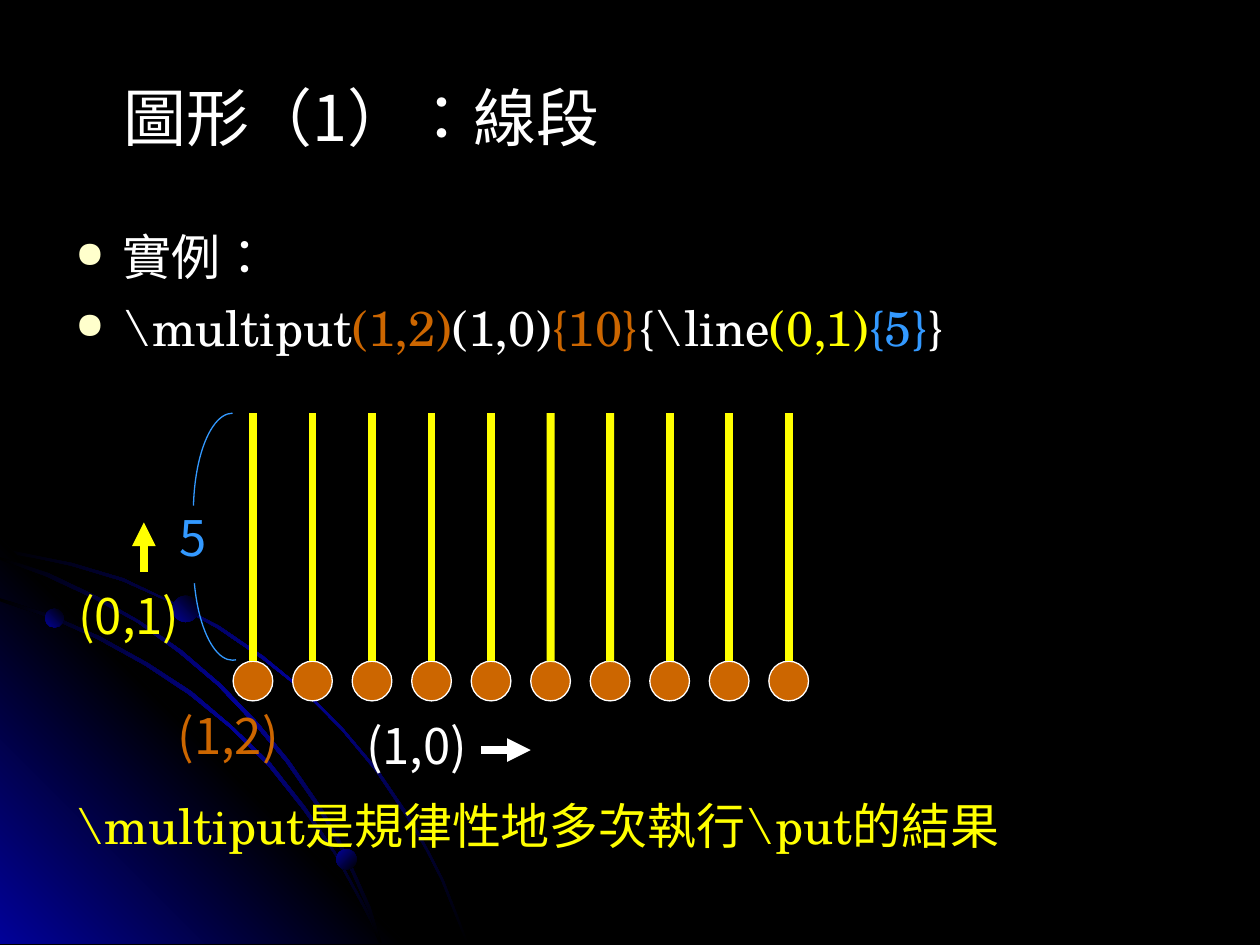
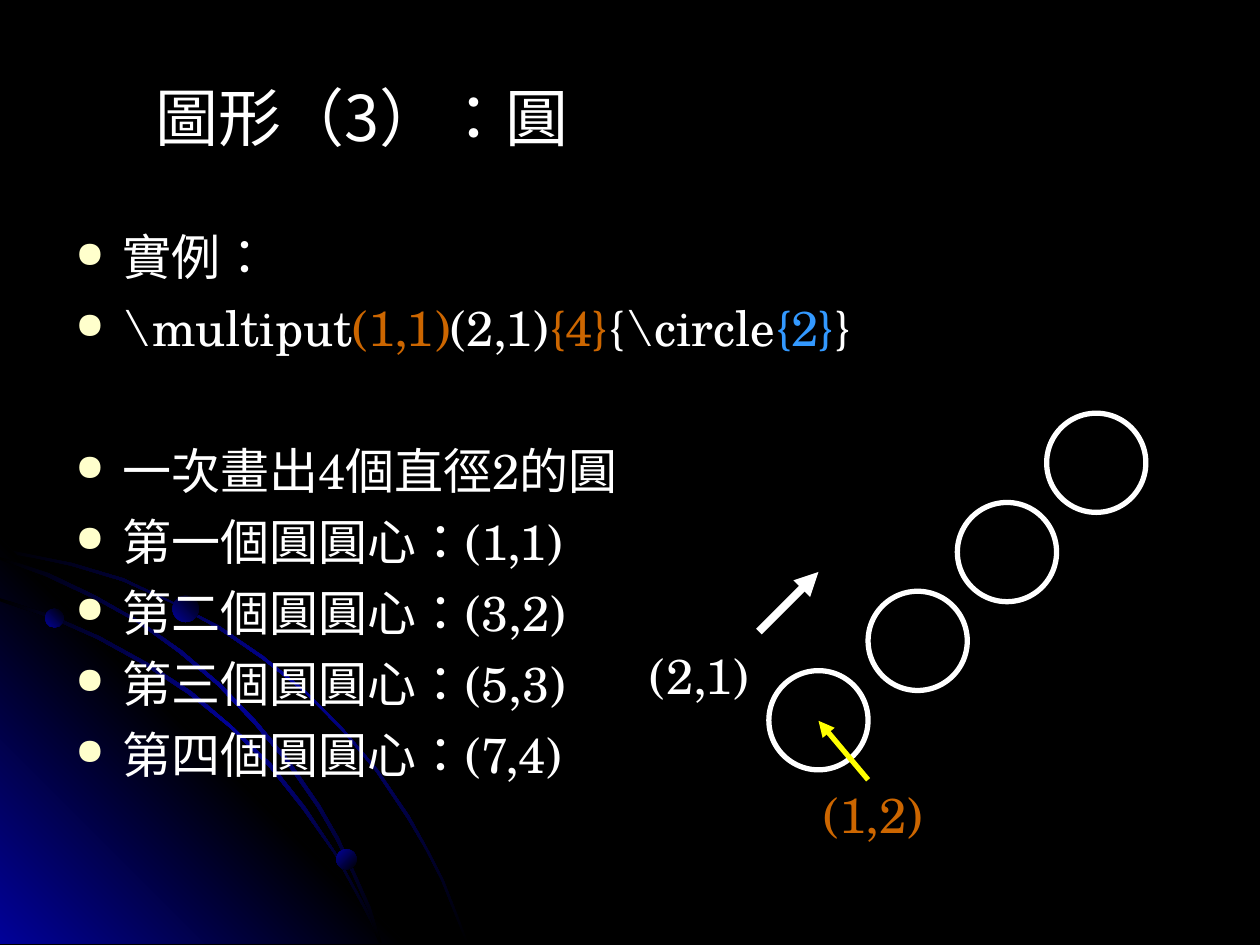
from dataclasses import dataclass

from lxml import etree
from pptx import Presentation
from pptx import util as u
from pptx.dml.color import RGBColor
from pptx.enum import shapes, text
from pptx.oxml import ns

BLACK, WHITE, NAVY = "000000", "FFFFFF", "010199"
ORANGE, YELLOW, BLUE, CREAM = "CC6600", "FFFF00", "3399FF", "FFFFCC"
SANS, SERIF = "Noto Sans CJK SC", "TeX Gyre Schola"
LINE_PITCH = 40.6
PARA_GAP = 7
GLOW = (BLACK, NAVY, BLACK)


@dataclass
class Run:
    text: str
    color: str = WHITE


@dataclass
class Para:
    runs: list[Run]
    bullet: bool = True
    skipped_lines: int = 0


@dataclass
class Label:
    text: str
    x: float
    y: float
    w: float
    color: str
    font: str


@dataclass
class Arrow:
    start: tuple[float, float]
    end: tuple[float, float]
    color: str
    width: float


@dataclass
class Arc:
    x: float
    y: float
    start: float
    end: float


@dataclass
class Sweep:
    points: list[tuple[int, int]]
    stops: tuple[str, ...] = GLOW
    angle: int = 225


@dataclass
class Orb:
    x: float
    y: float
    size: float
    angle: int


SWEEPS = [
    Sweep([(145, 1135), (71, 1120), (0, 1105), (0, 1113), (71, 1125), (142, 1140),
           (246, 1171), (343, 1214), (439, 1267), (528, 1328), (612, 1394),
           (688, 1471), (757, 1554), (820, 1648), (856, 1709), (889, 1773),
           (914, 1836), (940, 1902), (945, 1902), (919, 1836), (894, 1773),
           (861, 1709), (826, 1646), (762, 1552), (691, 1468), (615, 1392),
           (531, 1323), (442, 1262), (345, 1212), (249, 1166)]),
    Sweep([(818, 1903), (0, 1903), (0, 1085)], (NAVY, BLACK, NAVY), 135),
    Sweep([(724, 1814), (747, 1859), (765, 1902), (770, 1902), (752, 1854),
           (726, 1808), (676, 1717), (615, 1626), (546, 1539), (467, 1463),
           (386, 1394), (297, 1336), (201, 1283), (104, 1240), (0, 1206),
           (0, 1212), (99, 1245), (196, 1288), (292, 1341), (381, 1400),
           (465, 1468), (541, 1544), (610, 1631), (673, 1720)]),
    Sweep([(0, 1123), (0, 1128), (91, 1161), (188, 1206), (277, 1255),
           (361, 1316), (439, 1382), (513, 1460), (577, 1537), (640, 1628),
           (678, 1694), (711, 1763), (742, 1834), (765, 1902), (770, 1902),
           (747, 1829), (716, 1760), (683, 1689), (645, 1623), (582, 1532),
           (518, 1455), (445, 1379), (366, 1311), (282, 1252), (193, 1201),
           (99, 1156)]),
]
ORBS = [Orb(0.91, 12.27, 0.38, 135), Orb(6.78, 17.12, 0.41, 225), Orb(3.48, 12.01, 0.53, 135)]


def rgb(color: str) -> RGBColor:
    return RGBColor.from_string(color)


def cm(*lengths: float) -> list[u.Length]:
    return [u.Cm(length) for length in lengths]


def set_gradient(sp, stops: tuple[str, ...], angle: int) -> None:
    sp.shadow.inherit = False
    sp.line.fill.background()
    sp.fill.gradient()
    grad = sp._element.spPr.find(ns.qn("a:gradFill"))
    for child in list(grad):
        grad.remove(child)
    gs_list = etree.SubElement(grad, ns.qn("a:gsLst"))
    for i, color in enumerate(stops):
        gs = etree.SubElement(gs_list, ns.qn("a:gs"), pos=str(100000 * i // (len(stops) - 1)))
        etree.SubElement(gs, ns.qn("a:srgbClr"), val=color)
    etree.SubElement(grad, ns.qn("a:lin"), ang=str(angle * 60000), scaled="0")


def add_backdrop(s) -> None:
    for sweep in SWEEPS:
        fb = s.shapes.build_freeform(*sweep.points[0], scale=u.Cm(0.01))
        fb.add_line_segments(sweep.points[1:], close=True)
        set_gradient(fb.convert_to_shape(), sweep.stops, sweep.angle)
    for orb in ORBS:
        sp = s.shapes.add_shape(shapes.MSO_SHAPE.OVAL, *cm(orb.x, orb.y, orb.size, orb.size))
        set_gradient(sp, (BLACK, NAVY), orb.angle)


def add_run(p, run: Run, font: str, size: float = 28) -> None:
    r = p.add_run()
    r.text = run.text
    r.font.size = u.Pt(size)
    r.font.color.rgb = rgb(run.color)
    r.font.name = font
    rPr = r._r.get_or_add_rPr()
    rPr.set("lang", "zh-TW")
    etree.SubElement(rPr, ns.qn("a:ea"), typeface=font)


def center_text(sp, run: Run, font: str, size: float = 28) -> None:
    tf = sp.text_frame
    tf.word_wrap = True
    tf.auto_size = text.MSO_AUTO_SIZE.NONE
    tf.vertical_anchor = text.MSO_ANCHOR.MIDDLE
    p = tf.paragraphs[0]
    p.alignment = text.PP_ALIGN.CENTER
    add_run(p, run, font, size)


def add_slide(prs, title: str):
    s = prs.slides.add_slide(prs.slide_layouts[5])
    add_backdrop(s)
    sp = s.shapes.title
    sp.left, sp.top, sp.width, sp.height = cm(1.27, 0.76, 12.04, 3.18)
    center_text(sp, Run(title), SANS, 36)
    return s


def set_bullet(p, shown: bool) -> None:
    pPr = p._p.get_or_add_pPr()
    pPr.set("marL", str(u.Cm(0.95)))
    pPr.set("indent", str(-u.Cm(0.95)))
    if shown:
        color = etree.SubElement(pPr, ns.qn("a:buClr"))
        etree.SubElement(color, ns.qn("a:srgbClr"), val=CREAM)
        etree.SubElement(pPr, ns.qn("a:buSzPct"), val="75000")
        etree.SubElement(pPr, ns.qn("a:buChar"), char="●")
    else:
        etree.SubElement(pPr, ns.qn("a:buNone"))


def add_body(s, paras: list[Para]) -> None:
    tf = s.shapes.add_textbox(*cm(1.27, 4.45, 22.86, 13.28)).text_frame
    tf.word_wrap = True
    for i, para in enumerate(paras):
        p = tf.add_paragraph() if i else tf.paragraphs[0]
        set_bullet(p, para.bullet)
        if i:
            p.space_before = u.Pt(PARA_GAP + para.skipped_lines * LINE_PITCH)
        for run in para.runs:
            add_run(p, run, SERIF)


def add_label(s, label: Label) -> None:
    sp = s.shapes.add_textbox(*cm(label.x, label.y, label.w, 0.96))
    center_text(sp, Run(label.text, label.color), label.font)


def add_line(s, start: tuple[float, float], end: tuple[float, float], color: str, width: float):
    line = s.shapes.add_connector(shapes.MSO_CONNECTOR.STRAIGHT, *cm(*start, *end))
    line.line.color.rgb = rgb(color)
    line.line.width = u.Pt(width)
    etree.SubElement(line._element.spPr, ns.qn("a:effectLst"))
    return line


def add_arrow(s, arrow: Arrow) -> None:
    line = add_line(s, arrow.start, arrow.end, arrow.color, arrow.width)
    etree.SubElement(line.line._get_or_add_ln(), ns.qn("a:tailEnd"), type="triangle")


def add_outline(s, kind, x: float, y: float, w: float, h: float, color: str, width: float):
    sp = s.shapes.add_shape(kind, *cm(x, y, w, h))
    sp.shadow.inherit = False
    sp.fill.background()
    sp.line.color.rgb = rgb(color)
    sp.line.width = u.Pt(width)
    return sp


def add_arc(s, arc: Arc) -> None:
    sp = add_outline(s, shapes.MSO_SHAPE.ARC, arc.x, arc.y, 1.58, 3.99, BLUE, 0.75)
    sp.adjustments[0] = arc.start * 0.6
    sp.adjustments[1] = arc.end * 0.6


def build_lines_slide(prs) -> None:
    s = add_slide(prs, "圖形（1）：線段")
    add_body(s, [
        Para([Run("實例：")]),
        Para([Run("\\multiput"), Run("(1,2)", ORANGE), Run("(1,0)"), Run("{10}", ORANGE),
              Run("{\\line"), Run("(0,1)", YELLOW), Run("{5}", BLUE), Run("}")]),
        Para([Run("\\multiput是規律性地多次執行\\put的結果", YELLOW)], False, 6),
    ])
    for i in range(10):
        x = 5.1 + 1.2 * i
        dot = add_outline(s, shapes.MSO_SHAPE.OVAL, x - 0.4, 13.33, 0.8, 0.8, WHITE, 0.75)
        dot.fill.solid()
        dot.fill.fore_color.rgb = rgb(ORANGE)
        segment = add_line(s, (x, 13.33), (x, 8.33), YELLOW, 4.5)
        segment.begin_connect(dot, 0)
    for arc in (Arc(3.9, 8.33, 189.5, 270), Arc(3.9, 9.32, 88, 150)):
        add_arc(s, arc)
    for label in (Label("(1,2)", 2.9, 14.33, 3.4, ORANGE, SANS),
                  Label("5", 3.3, 10.34, 1.2, BLUE, SANS),
                  Label("(0,1)", 0.9, 11.91, 3.4, YELLOW, SANS),
                  Label("(1,0)", 6.7, 14.53, 3.4, WHITE, SANS)):
        add_label(s, label)
    add_arrow(s, Arrow((2.9, 11.53), (2.9, 10.53), YELLOW, 4.5))
    add_arrow(s, Arrow((9.7, 15.12), (10.7, 15.12), WHITE, 4.5))


def build_circles_slide(prs) -> None:
    s = add_slide(prs, "圖形（3）：圓")
    centers = [("一", "(1,1)"), ("二", "(3,2)"), ("三", "(5,3)"), ("四", "(7,4)")]
    add_body(s, [
        Para([Run("實例：")]),
        Para([Run("\\multiput"), Run("(1,1)", ORANGE), Run("(2,1)"), Run("{4}", ORANGE),
              Run("{\\circle"), Run("{2}", BLUE), Run("}")]),
        Para([Run("一次畫出4個直徑2的圓")], skipped_lines=1),
        *(Para([Run(f"第{ordinal}個圓圓心：{center}")]) for ordinal, center in centers),
    ])
    for x, y in ((15.5, 13.52), (17.5, 11.92), (19.3, 10.13), (21.1, 8.33)):
        add_outline(s, shapes.MSO_SHAPE.OVAL, x, y, 2, 2, WHITE, 3)
    add_label(s, Label("(1,2)", 15.9, 15.93, 3.4, ORANGE, SERIF))
    add_label(s, Label("(2,1)", 12.7, 13.13, 2.8, WHITE, SERIF))
    add_arrow(s, Arrow((15.3, 12.73), (16.5, 11.53), WHITE, 4.5))
    add_arrow(s, Arrow((17.5, 15.72), (16.5, 14.53), YELLOW, 3))


def main() -> None:
    prs = Presentation()
    prs.slide_width, prs.slide_height = cm(25.4, 19.05)
    fill = prs.slide_master.background.fill
    fill.solid()
    fill.fore_color.rgb = rgb(BLACK)
    build_lines_slide(prs)
    build_circles_slide(prs)
    prs.save("out.pptx")


if __name__ == "__main__":
    main()
